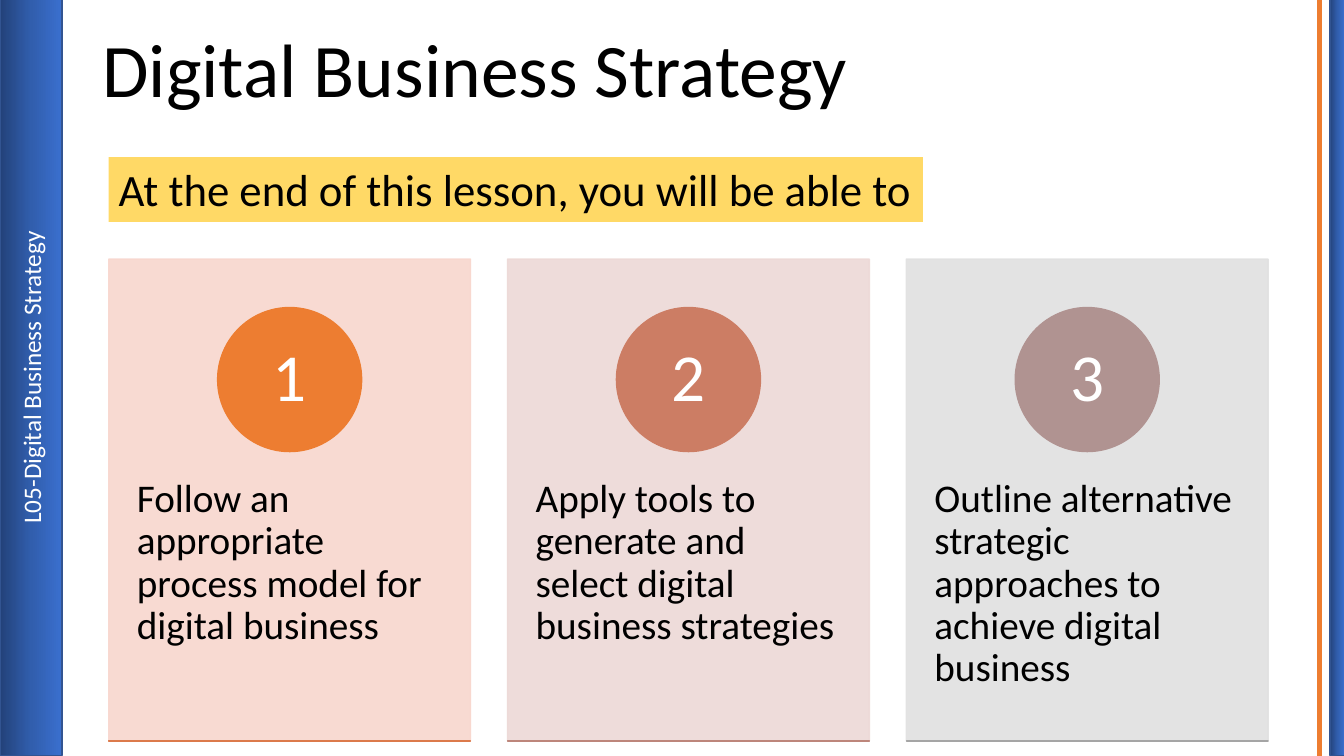
"""Build the lesson goals slide for Digital Business Strategy."""
import pptx
import pptx.dml.color
import pptx.enum.shapes
import pptx.enum.text
import pptx.oxml.ns
import pptx.util
from lxml import etree

Cm, Pt = pptx.util.Cm, pptx.util.Pt
RGBColor = pptx.dml.color.RGBColor
Align = pptx.enum.text.PP_ALIGN
Anchor = pptx.enum.text.MSO_ANCHOR
Shapes = pptx.enum.shapes.MSO_SHAPE
qn = pptx.oxml.ns.qn

BLACK = RGBColor(0x00, 0x00, 0x00)
WHITE = RGBColor(0xFF, 0xFF, 0xFF)
ORANGE = RGBColor(0xED, 0x7D, 0x31)
YELLOW = RGBColor(0xFF, 0xD9, 0x66)
BAR_LINE = RGBColor(0x32, 0x54, 0x91)
BAR_STOPS = {
    0: RGBColor(0x23, 0x42, 0x7A),
    50: RGBColor(0x31, 0x5E, 0xAD),
    100: RGBColor(0x3A, 0x6F, 0xCE),
}
GOALS = [
    ("Follow an appropriate process model for digital business",
     RGBColor(0xF8, 0xD7, 0xCE), ORANGE, RGBColor(0xDC, 0x7A, 0x4B)),
    ("Apply tools to generate and select digital business strategies",
     RGBColor(0xED, 0xD9, 0xD7), RGBColor(0xCC, 0x7D, 0x64), RGBColor(0xBD, 0x86, 0x7B)),
    ("Outline alternative strategic approaches to achieve digital business",
     RGBColor(0xE1, 0xE1, 0xE1), RGBColor(0xB0, 0x93, 0x91), RGBColor(0xA5, 0xA5, 0xA5)),
]
CARD_LEFT, CARD_TOP, CARD_WIDTH, CARD_HEIGHT, CARD_PITCH = 2.74, 6.53, 9.12, 12.14, 10.05
CIRCLE, NUMBER = 3.63, 2.57


class LessonSlide:
    """Hold the text style and the slide being filled."""

    font = {"name": "Calibri"}

    def __init__(self, deck):
        self.slide = deck.slides.add_slide(deck.slide_layouts[6])

    def apply(self, target, values):
        for name, value in values.items():
            setattr(target, name, value)

    def label(self, shape, words, size, color, frame=None, paragraph=None):
        self.apply(shape.text_frame, {"word_wrap": True, **(frame or {})})
        line = shape.text_frame.paragraphs[0]
        line.text = words
        self.apply(line, {"alignment": Align.LEFT, **(paragraph or {})})
        self.apply(line.runs[0].font, {**self.font, "size": Pt(size)})
        line.runs[0].font.color.rgb = color

    def text(self, box, words, size, color, frame=None, paragraph=None):
        area = self.slide.shapes.add_textbox(*map(Cm, box))
        self.label(area, words, size, color, frame, paragraph)
        return area

    def block(self, box, color, kind=Shapes.RECTANGLE, opacity=100):
        block = self.slide.shapes.add_shape(kind, *map(Cm, box))
        block.shadow.inherit = False
        for fill in (block.fill, block.line.fill):
            fill.solid()
            fill.fore_color.rgb = color
        block.line.width = Pt(1)
        if opacity < 100:
            for tint in block.element.spPr.iter(qn("a:srgbClr")):
                etree.SubElement(tint, qn("a:alpha"), val=str(opacity * 1000))
        return block

    def side_bar(self, box):
        bar = self.block(box, BAR_LINE)
        bar.rotation = 270
        bar.fill.gradient()
        bar.fill.gradient_angle = 270
        stops = bar.element.spPr.find(".//" + qn("a:gsLst"))
        stops.clear()
        for place, color in BAR_STOPS.items():
            stop = etree.SubElement(stops, qn("a:gs"), pos=str(place * 1000))
            etree.SubElement(stop, qn("a:srgbClr"), val=str(color))
        return bar

    def rule(self, x, top, bottom, color, width):
        straight = pptx.enum.shapes.MSO_CONNECTOR.STRAIGHT
        rule = self.slide.shapes.add_connector(straight, Cm(x), Cm(top), Cm(x), Cm(bottom))
        rule.line.color.rgb = color
        rule.line.width = Pt(width)
        etree.SubElement(rule._element.spPr, qn("a:effectLst"))

    def card(self, index, goal, tint, circle_color, edge_color):
        left = CARD_LEFT + index * CARD_PITCH
        middle = left + CARD_WIDTH / 2
        self.block((left, CARD_TOP, CARD_WIDTH, CARD_HEIGHT), tint, opacity=90)
        self.text((left, 11.15, CARD_WIDTH, 7.29), goal, 28, BLACK,
                  {"margin_left": Cm(0.71), "margin_right": Cm(0.71),
                   "margin_top": Cm(0.91), "margin_bottom": Cm(0.91)},
                  {"line_spacing": 0.9})
        self.block((middle - CIRCLE / 2, 7.75, CIRCLE, CIRCLE), circle_color, Shapes.OVAL)
        self.text((middle - NUMBER / 2, 8.28, NUMBER, NUMBER), str(index + 1), 48, WHITE,
                  {"vertical_anchor": Anchor.MIDDLE,
                   "margin_left": Cm(0.28), "margin_right": Cm(0.28),
                   "margin_top": Cm(0.03), "margin_bottom": Cm(0.03)},
                  {"alignment": Align.CENTER, "line_spacing": 0.9})
        self.block((left, CARD_TOP + CARD_HEIGHT, CARD_WIDTH, 0), edge_color)


def main():
    deck = pptx.Presentation()
    deck.slide_width, deck.slide_height = Cm(33.87), Cm(19.05)
    lesson = LessonSlide(deck)
    middle = {"vertical_anchor": Anchor.MIDDLE}

    lesson.rule(33.25, 0, 19.05, ORANGE, 3)
    lesson.side_bar((24.18, 9.32, 19.05, 0.38))
    lesson_bar = lesson.side_bar((-8.74, 8.74, 19.05, 1.55))
    lesson.label(lesson_bar, "L05-Digital Business Strategy", 18, WHITE, middle,
                 {"alignment": Align.CENTER})
    lesson.text((2.33, 0, 29.21, 3.68), "Digital Business Strategy", 54, BLACK, middle,
                {"line_spacing": 0.9})
    for index, goal in enumerate(GOALS):
        lesson.card(index, *goal)
    promise = lesson.text((2.74, 3.96, 20.52, 1.63),
                          "At the end of this lesson, you will be able to", 32, BLACK,
                          {"word_wrap": False,
                           "auto_size": pptx.enum.text.MSO_AUTO_SIZE.SHAPE_TO_FIT_TEXT})
    promise.fill.solid()
    promise.fill.fore_color.rgb = YELLOW
    deck.save("out.pptx")


if __name__ == "__main__":
    main()
